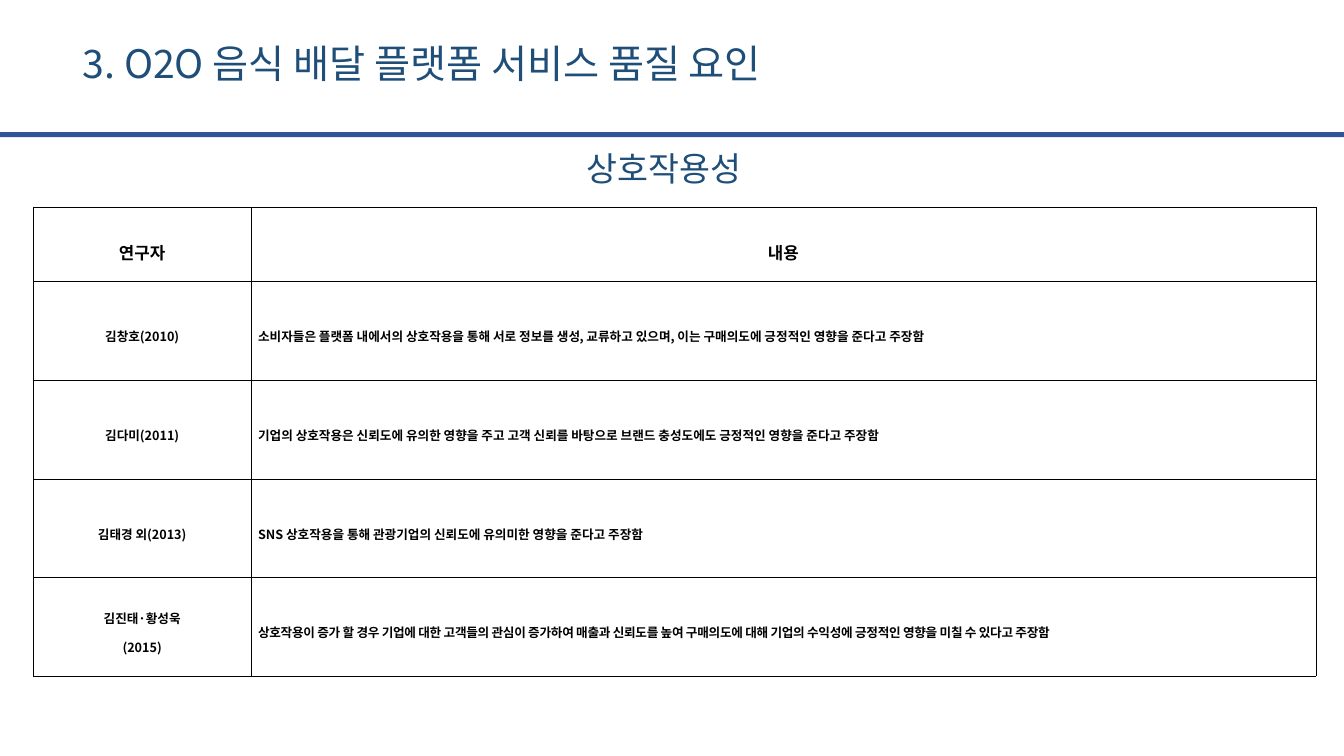
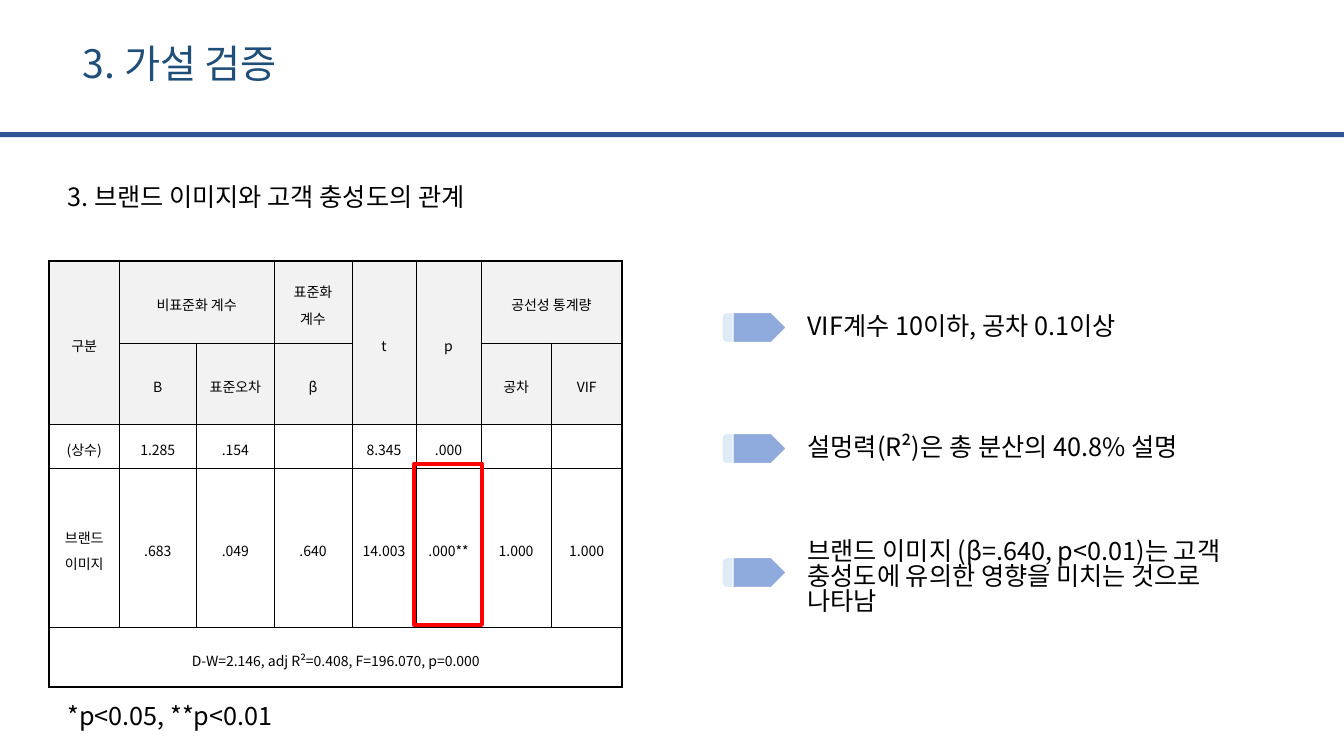
"""Build two research slides: a literature table and a regression result."""
from lxml import etree
from pptx import Presentation
from pptx.dml.color import RGBColor
from pptx.enum import shapes, text
from pptx.oxml import ns
from pptx.util import Inches, Pt

FONT = "Noto Sans CJK KR"
COLORS = {"title": "1F4E79", "band": "2F5597", "text": "000000", "header": "F2F2F2",
          "white": "FFFFFF", "tail": "DEEBF7", "arrow": "8FAADC", "mark": "FF0000"}
CENTER, JUSTIFY, LEFT = text.PP_ALIGN.CENTER, text.PP_ALIGN.JUSTIFY, text.PP_ALIGN.LEFT

STUDIES_TITLE = "3. O2O 음식 배달 플랫폼 서비스 품질 요인"
STUDIES_TOPIC = "상호작용성"
STUDIES = [
    ("연구자", "내용"),
    ("김창호(2010)", "소비자들은 플랫폼 내에서의 상호작용을 통해 서로 정보를 생성, 교류하고 있으며, "
                  "이는 구매의도에 긍정적인 영향을 준다고 주장함"),
    ("김다미(2011)", "기업의 상호작용은 신뢰도에 유의한 영향을 주고 고객 신뢰를 바탕으로 "
                  "브랜드 충성도에도 긍정적인 영향을 준다고 주장함"),
    ("김태경 외(2013)", "SNS 상호작용을 통해 관광기업의 신뢰도에 유의미한 영향을 준다고 주장함"),
    ("김진태·황성욱\n(2015)", "상호작용이 증가 할 경우 기업에 대한 고객들의 관심이 증가하여 매출과 신뢰도를 높여 "
                         "구매의도에 대해 기업의 수익성에 긍정적인 영향을 미칠 수 있다고 주장함"),
]
STUDY_COLS, STUDY_ROWS = [2.16, 10.56], [0.73] + [0.98] * 4

TEST_TITLE = "3. 가설 검증"
TEST_TOPIC = "3. 브랜드 이미지와 고객 충성도의 관계"
SIGNIFICANCE = "*p<0.05, **p<0.01"
REGRESSION = [
    ("구분", "비표준화 계수", "", "표준화\n계수", "t", "p", "공선성 통계량", ""),
    ("", "B", "표준오차", "β", "", "", "공차", "VIF"),
    ("(상수)", "1.285", ".154", "", "8.345", ".000", "", ""),
    ("브랜드\n이미지", ".683", ".049", ".640", "14.003", ".000**", "1.000", "1.000"),
    ("D-W=2.146, adj R²=0.408, F=196.070, p=0.000",) + ("",) * 7,
]
REGRESSION_COLS = [0.69, 0.77, 0.77, 0.77, 0.64, 0.64, 0.7, 0.7]
REGRESSION_ROWS = [0.81, 0.81, 0.43, 1.58, 0.6]
MERGES = [(0, 0, 1, 0), (0, 1, 0, 2), (0, 4, 1, 4), (0, 5, 1, 5), (0, 6, 0, 7), (4, 0, 4, 7)]
FINDINGS = [
    (3.25, 0.4, "VIF계수 10이하, 공차 0.1이상"),
    (4.45, 0.4, "설멍력(R²)은 총 분산의 40.8% 설명"),
    (5.73, 1.01, "브랜드 이미지 (β=.640, p<0.01)는 고객 충성도에 유의한 영향을 미치는 것으로 나타남"),
]


def rgb(name):
    return RGBColor.from_string(COLORS[name])


def style(frame, size, color="text", align=LEFT, spacing=0.83, bold=False, tracking=0):
    for paragraph in frame.paragraphs:
        paragraph.alignment, paragraph.line_spacing = align, spacing
        font = paragraph.font
        font.name, font.size, font.bold = FONT, Pt(size), bold
        font.color.rgb = rgb(color)
        defaults = paragraph._p.pPr.find(ns.qn("a:defRPr"))
        etree.SubElement(defaults, ns.qn("a:ea"), typeface=FONT)
        if tracking:
            defaults.set("spc", str(tracking))


def place(shape, left, top, width, height):
    shape.left, shape.top = Inches(left), Inches(top)
    shape.width, shape.height = Inches(width), Inches(height)


def add_label(slide, words, box, size=18, color="text", wrap=True):
    frame = slide.shapes.add_textbox(*map(Inches, box)).text_frame
    frame.text, frame.word_wrap = words, wrap
    frame.vertical_anchor = text.MSO_ANCHOR.MIDDLE
    style(frame, size, color)


def add_block(parent, kind, box, fill=None, line=None, weight=1):
    block = parent.add_shape(kind, *map(Inches, box))
    block.shadow.inherit = False
    if fill:
        block.fill.solid()
        block.fill.fore_color.rgb = rgb(fill)
    else:
        block.fill.background()
    if line:
        block.line.color.rgb, block.line.width = rgb(line), Pt(weight)
    else:
        block.line.fill.background()


def add_slide(deck, heading, width):
    slide = deck.slides.add_slide(deck.slide_layouts[5])
    add_block(slide.shapes, shapes.MSO_SHAPE.RECTANGLE, (0, 1.31, 13.33, 0.05), "band")
    title = slide.shapes.title
    place(title, 0.72, 0.38, width, 0.57)
    frame = title.text_frame
    frame.text, frame.word_wrap = heading, False
    frame.auto_size = text.MSO_AUTO_SIZE.NONE
    frame.vertical_anchor = text.MSO_ANCHOR.MIDDLE
    style(frame, 28, "title")
    return slide


def set_borders(cell, widths):
    properties = cell._tc.get_or_add_tcPr()
    for index, (side, width) in enumerate(zip("LRTB", widths)):
        border = etree.Element(ns.qn(f"a:ln{side}"), w=str(int(Pt(width))))
        fill = etree.SubElement(border, ns.qn("a:solidFill"))
        etree.SubElement(fill, ns.qn("a:srgbClr"), val=COLORS["text"])
        properties.insert(index, border)


def add_grid(slide, corner, cols, rows, content, look, inner, outer, merges=()):
    box = (*corner, sum(cols), sum(rows))
    grid = slide.shapes.add_table(len(rows), len(cols), *map(Inches, box)).table
    grid.first_row = grid.horz_banding = False
    for column, width in zip(grid.columns, cols):
        column.width = Inches(width)
    for row, height in zip(grid.rows, rows):
        row.height = Inches(height)
    for top, left, bottom, right in merges:
        grid.cell(top, left).merge(grid.cell(bottom, right))
    for r, line in enumerate(content):
        for c, words in enumerate(line):
            cell = grid.cell(r, c)
            cell.margin_left = cell.margin_right = Inches(0.07)
            cell.margin_top = cell.margin_bottom = Inches(0.02)
            cell.vertical_anchor = text.MSO_ANCHOR.MIDDLE
            fill, font = look(r, c)
            if fill:
                cell.fill.solid()
                cell.fill.fore_color.rgb = rgb(fill)
            else:
                cell.fill.background()
            if words:
                cell.text = words
                style(cell.text_frame, **font)
            edges = (c == 0, c + cell.span_width == len(cols),
                     r == 0, r + cell.span_height == len(rows))
            set_borders(cell, [outer if edge else inner for edge in edges])


def study_look(r, c):
    font = {"size": 9 if r else 12, "align": JUSTIFY if r and c else CENTER,
            "spacing": 1.6, "bold": True}
    if (r, c) == (len(STUDIES) - 1, 1):
        font["tracking"] = -20
    return (None if r else "white"), font


def regression_look(r, c):
    return ("header" if r < 2 else None), {"size": 10, "align": CENTER, "spacing": 1.3}


def build_studies(deck):
    slide = add_slide(deck, STUDIES_TITLE, 7.81)
    add_label(slide, STUDIES_TOPIC, (5.72, 1.45, 1.88, 0.5), 24, "title", wrap=False)
    add_grid(slide, (0.33, 2.06), STUDY_COLS, STUDY_ROWS, STUDIES, study_look, 0.28, 0.28)


def build_test(deck):
    slide = add_slide(deck, TEST_TITLE, 2.39)
    add_label(slide, TEST_TOPIC, (0.57, 1.77, 11.49, 0.4))
    for middle, height, finding in FINDINGS:
        add_label(slide, finding, (7.91, middle - height / 2, 4.68, height))
        pointer = slide.shapes.add_group_shape().shapes
        top = min(middle, 5.68) - 0.15
        add_block(pointer, shapes.MSO_SHAPE.ROUNDED_RECTANGLE, (7.16, top, 0.34, 0.3),
                  "tail", "white")
        add_block(pointer, shapes.MSO_SHAPE.PENTAGON, (7.27, top, 0.53, 0.3), "arrow", "white")
    add_grid(slide, (0.49, 2.59), REGRESSION_COLS, REGRESSION_ROWS, REGRESSION,
             regression_look, 0.25, 1.7, MERGES)
    add_block(slide.shapes, shapes.MSO_SHAPE.RECTANGLE, (4.11, 4.6, 0.67, 1.6),
              line="mark", weight=3)
    add_label(slide, SIGNIFICANCE, (0.57, 6.92, 4.5, 0.4))


def main():
    deck = Presentation()
    deck.slide_width, deck.slide_height = Inches(13.33), Inches(7.5)
    build_studies(deck)
    build_test(deck)
    deck.save("out.pptx")


if __name__ == "__main__":
    main()
